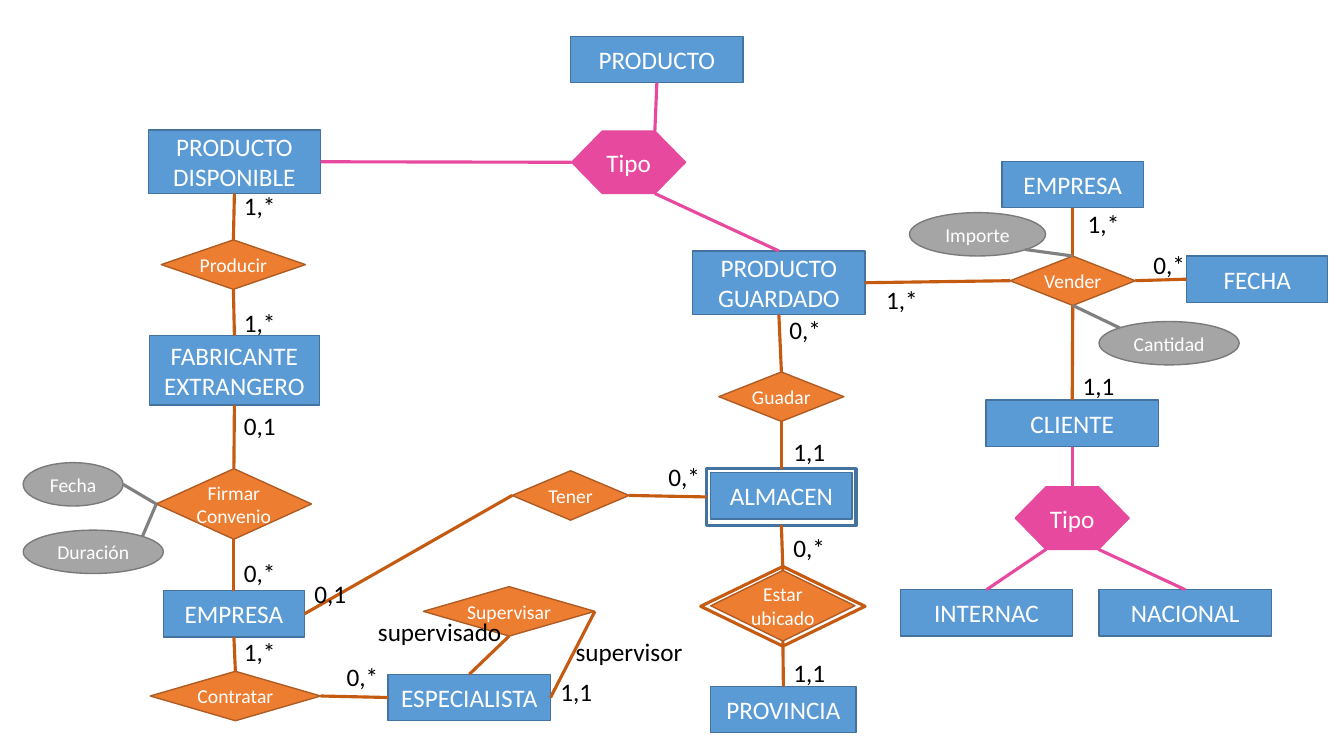
from dataclasses import dataclass

from lxml.etree import SubElement
from pptx import Presentation
from pptx.dml.color import RGBColor
from pptx.enum.shapes import MSO_CONNECTOR, MSO_SHAPE
from pptx.enum.text import MSO_ANCHOR, MSO_AUTO_SIZE, PP_ALIGN
from pptx.oxml.ns import qn
from pptx.shapes.autoshape import Shape
from pptx.slide import Slide
from pptx.util import Emu, Pt

EMU_PER_PX = 9144  # 100 px to the inch
FONT = "Calibri"

WHITE = RGBColor(0xFF, 0xFF, 0xFF)
BLACK = RGBColor(0x00, 0x00, 0x00)
BLUE = RGBColor(0x5B, 0x9B, 0xD5)
DARK_BLUE = RGBColor(0x43, 0x73, 0x9E)
ORANGE = RGBColor(0xED, 0x7D, 0x31)
DARK_ORANGE = RGBColor(0xAF, 0x5C, 0x24)
LINK_ORANGE = RGBColor(0xC5, 0x5A, 0x11)
GRAY = RGBColor(0xA5, 0xA5, 0xA5)
DARK_GRAY = RGBColor(0x7A, 0x7A, 0x7A)
LINK_GRAY = RGBColor(0x80, 0x80, 0x80)
PINK = RGBColor(0xE7, 0x49, 0x9F)


@dataclass(frozen=True)
class Style:
    preset: MSO_SHAPE
    fill: RGBColor | None
    line: RGBColor
    line_width: float = 1
    size: int = 18
    side_inset: int = 10
    end_inset: int = 5


@dataclass(frozen=True)
class Node:
    key: str
    text: str
    style: Style
    left: int
    top: int
    width: int
    height: int


@dataclass(frozen=True)
class Link:
    start: str
    start_side: str
    end: str
    end_side: str
    color: RGBColor = LINK_ORANGE


@dataclass(frozen=True)
class Label:
    text: str
    left: int
    top: int
    width: int = 53


ENTITY = Style(MSO_SHAPE.RECTANGLE, BLUE, DARK_BLUE)
RELATION = Style(MSO_SHAPE.DIAMOND, ORANGE, DARK_ORANGE, size=14, side_inset=0, end_inset=4)
ATTRIBUTE = Style(MSO_SHAPE.OVAL, GRAY, DARK_GRAY, size=14)
SUBTYPE = Style(MSO_SHAPE.HEXAGON, PINK, PINK)
ENTITY_FRAME = Style(MSO_SHAPE.RECTANGLE, None, DARK_BLUE, 2.25)
RELATION_FRAME = Style(MSO_SHAPE.DIAMOND, None, LINK_ORANGE, 2.25)

# Connection sites of rectangles and diamonds
SITES = {"top": 0, "left": 1, "bottom": 2, "right": 3}
# Where each side or corner lies, as a fraction of width and height
SIDES = {
    "top": (0.5, 0), "left": (0, 0.5), "bottom": (0.5, 1), "right": (1, 0.5),
    "oval top left": (0.15, 0.15), "oval top right": (0.85, 0.15),
    "oval bottom right": (0.85, 0.85), "hexagon top right": (0.73, 0),
    "hexagon bottom left": (0.27, 1), "hexagon bottom right": (0.73, 1),
}

NODES = [
    # Products
    Node("product", "PRODUCTO", ENTITY, 566, 36, 171, 46),
    Node("product type", "Tipo", SUBTYPE, 567, 130, 113, 62),
    Node("available", "PRODUCTO DISPONIBLE", ENTITY, 147, 129, 171, 63),
    Node("stored", "PRODUCTO GUARDADO", ENTITY, 687, 249, 171, 63),
    # Manufacturing and contracts
    Node("produce", "Producir", RELATION, 160, 238, 143, 49),
    Node("maker", "FABRICANTE EXTRANGERO", ENTITY, 148, 333, 169, 69),
    Node("sign", "Firmar Convenio", RELATION, 155, 465, 154, 70),
    Node("date attribute", "Fecha", ATTRIBUTE, 23, 459, 99, 43),
    Node("duration", "Duración", ATTRIBUTE, 23, 526, 139, 43),
    Node("company", "EMPRESA", ENTITY, 162, 586, 140, 46),
    Node("hire", "Contratar", RELATION, 149, 666, 169, 49),
    Node("specialist", "ESPECIALISTA", ENTITY, 385, 669, 161, 46),
    Node("supervise", "Supervisar", RELATION, 420, 582, 170, 49),
    # Storage
    Node("own", "Tener", RELATION, 508, 467, 116, 49),
    Node("keep", "Guadar", RELATION, 713, 369, 124, 49),
    Node("warehouse", "ALMACEN", ENTITY, 705, 469, 140, 46),
    Node("warehouse frame", "", ENTITY_FRAME, 701, 465, 148, 56),
    Node("locate", "Estar ubicado", RELATION, 705, 566, 143, 70),
    Node("locate frame", "", RELATION_FRAME, 695, 562, 163, 79),
    Node("province", "PROVINCIA", ENTITY, 705, 681, 144, 46),
    # Sales
    Node("seller", "EMPRESA", ENTITY, 994, 160, 140, 46),
    Node("sell", "Vender", RELATION, 1002, 254, 124, 49),
    Node("date", "FECHA", ENTITY, 1177, 254, 140, 46),
    Node("amount", "Importe", ATTRIBUTE, 902, 211, 135, 43),
    Node("quantity", "Cantidad", ATTRIBUTE, 1090, 319, 139, 43),
    Node("client", "CLIENTE", ENTITY, 978, 397, 171, 46),
    Node("client type", "Tipo", SUBTYPE, 1007, 483, 113, 62),
    Node("international", "INTERNAC", ENTITY, 893, 585, 171, 46),
    Node("national", "NACIONAL", ENTITY, 1090, 585, 171, 46),
]

LINKS = [
    Link("product type", "hexagon top right", "product", "bottom", PINK),
    Link("product type", "hexagon bottom right", "stored", "top", PINK),
    Link("product type", "left", "available", "right", PINK),
    Link("produce", "top", "available", "bottom"),
    Link("produce", "bottom", "maker", "top"),
    Link("sign", "top", "maker", "bottom"),
    Link("sign", "bottom", "company", "top"),
    Link("date attribute", "right", "sign", "left", LINK_GRAY),
    Link("sign", "left", "duration", "oval top right", LINK_GRAY),
    Link("company", "bottom", "hire", "top"),
    Link("specialist", "left", "hire", "right"),
    Link("supervise", "right", "specialist", "right"),
    Link("supervise", "bottom", "specialist", "top"),
    Link("company", "right", "own", "left"),
    Link("warehouse frame", "left", "own", "right"),
    Link("warehouse frame", "top", "keep", "bottom"),
    Link("keep", "top", "stored", "bottom"),
    Link("warehouse frame", "bottom", "locate", "top"),
    Link("province", "top", "locate", "bottom"),
    Link("sell", "left", "stored", "right"),
    Link("sell", "top", "seller", "bottom"),
    Link("sell", "bottom", "client", "top"),
    Link("sell", "right", "date", "left"),
    Link("amount", "oval bottom right", "sell", "top", LINK_GRAY),
    Link("quantity", "oval top left", "sell", "bottom", LINK_GRAY),
    Link("client type", "top", "client", "bottom", PINK),
    Link("client type", "hexagon bottom left", "international", "top", PINK),
    Link("client type", "hexagon bottom right", "national", "top", PINK),
]

LABELS = [
    Label("1,*", 232, 184), Label("1,*", 232, 300), Label("0,1", 232, 402),
    Label("0,*", 232, 548), Label("1,*", 232, 626), Label("0,1", 302, 569),
    Label("0,*", 334, 651), Label("1,1", 546, 666), Label("0,*", 653, 453),
    Label("0,*", 773, 307), Label("1,1", 777, 428), Label("0,*", 777, 523),
    Label("1,1", 777, 647), Label("1,*", 869, 277), Label("1,*", 1069, 202),
    Label("0,*", 1134, 242), Label("1,1", 1064, 362),
    Label("supervisor", 561, 626, 126), Label("supervisado", 365, 607, 143),
]


def px(value: float) -> Emu:
    return Emu(round(value * EMU_PER_PX))


def write_text(shape: Shape, text: str, *, size: int = 18, color: RGBColor = BLACK,
               align: PP_ALIGN = PP_ALIGN.LEFT, anchor: MSO_ANCHOR = MSO_ANCHOR.TOP,
               wrap: bool = True, side_inset: int = 10, end_inset: int = 5) -> None:
    frame = shape.text_frame
    frame.word_wrap = wrap
    frame.auto_size = MSO_AUTO_SIZE.NONE if wrap else MSO_AUTO_SIZE.SHAPE_TO_FIT_TEXT
    frame.vertical_anchor = anchor
    frame.margin_left = frame.margin_right = px(side_inset)
    frame.margin_top = frame.margin_bottom = px(end_inset)
    paragraph = frame.paragraphs[0]
    paragraph.alignment = align
    run = paragraph.add_run()
    run.text = text
    run.font.name = FONT
    run.font.size = Pt(size)
    run.font.color.rgb = color


def draw_node(slide: Slide, node: Node) -> Shape:
    style = node.style
    shape = slide.shapes.add_shape(style.preset, px(node.left), px(node.top),
                                   px(node.width), px(node.height))
    shape.shadow.inherit = False
    if style.fill is None:
        shape.fill.background()
    else:
        shape.fill.solid()
        shape.fill.fore_color.rgb = style.fill
    shape.line.color.rgb = style.line
    shape.line.width = Pt(style.line_width)
    if style.preset == MSO_SHAPE.HEXAGON:
        shape.adjustments[0] = 0.49
    if node.text:
        write_text(shape, node.text, size=style.size, color=WHITE, align=PP_ALIGN.CENTER,
                   anchor=MSO_ANCHOR.MIDDLE, side_inset=style.side_inset,
                   end_inset=style.end_inset)
    return shape


def side_point(shape: Shape, side: str) -> tuple[Emu, Emu]:
    across, down = SIDES[side]
    return (Emu(round(shape.left + across * shape.width)),
            Emu(round(shape.top + down * shape.height)))


def draw_link(slide: Slide, link: Link, shapes: dict[str, Shape]) -> None:
    start, end = shapes[link.start], shapes[link.end]
    connector = slide.shapes.add_connector(
        MSO_CONNECTOR.STRAIGHT, *side_point(start, link.start_side),
        *side_point(end, link.end_side))
    four_sited = (MSO_SHAPE.RECTANGLE, MSO_SHAPE.DIAMOND)
    if start.auto_shape_type in four_sited:
        connector.begin_connect(start, SITES[link.start_side])
    if end.auto_shape_type in four_sited:
        connector.end_connect(end, SITES[link.end_side])
    connector.line.color.rgb = link.color
    connector.line.width = Pt(2.25)
    SubElement(connector._element.spPr, qn("a:effectLst"))


def draw_label(slide: Slide, label: Label) -> None:
    box = slide.shapes.add_textbox(px(label.left), px(label.top), px(label.width), px(40))
    write_text(box, label.text, wrap=False)


def main() -> None:
    presentation = Presentation()
    presentation.slide_width, presentation.slide_height = px(1333), px(750)
    slide = presentation.slides.add_slide(presentation.slide_layouts[6])
    shapes = {node.key: draw_node(slide, node) for node in NODES}
    for link in LINKS:
        draw_link(slide, link, shapes)
    for label in LABELS:
        draw_label(slide, label)
    presentation.save("out.pptx")


if __name__ == "__main__":
    main()
